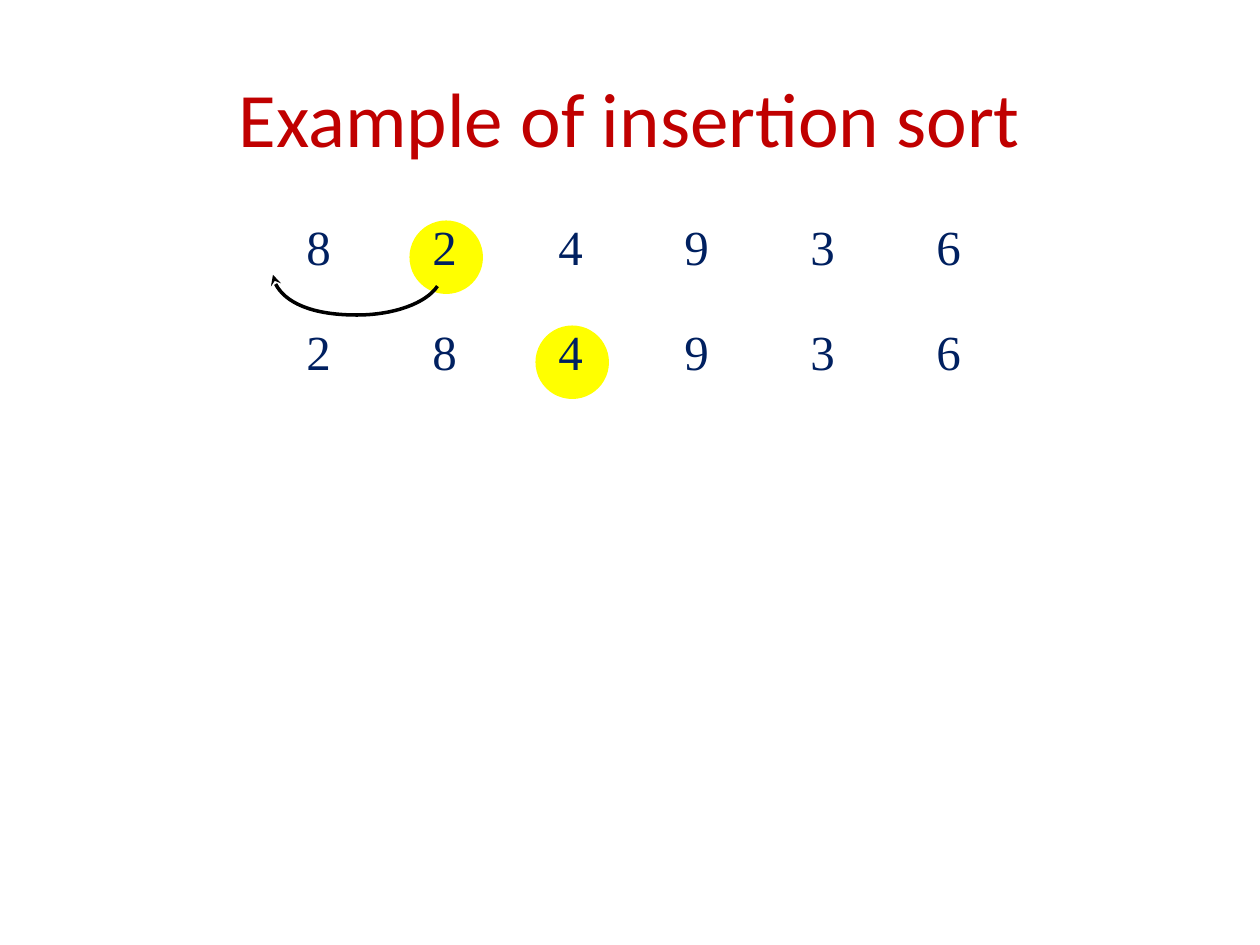
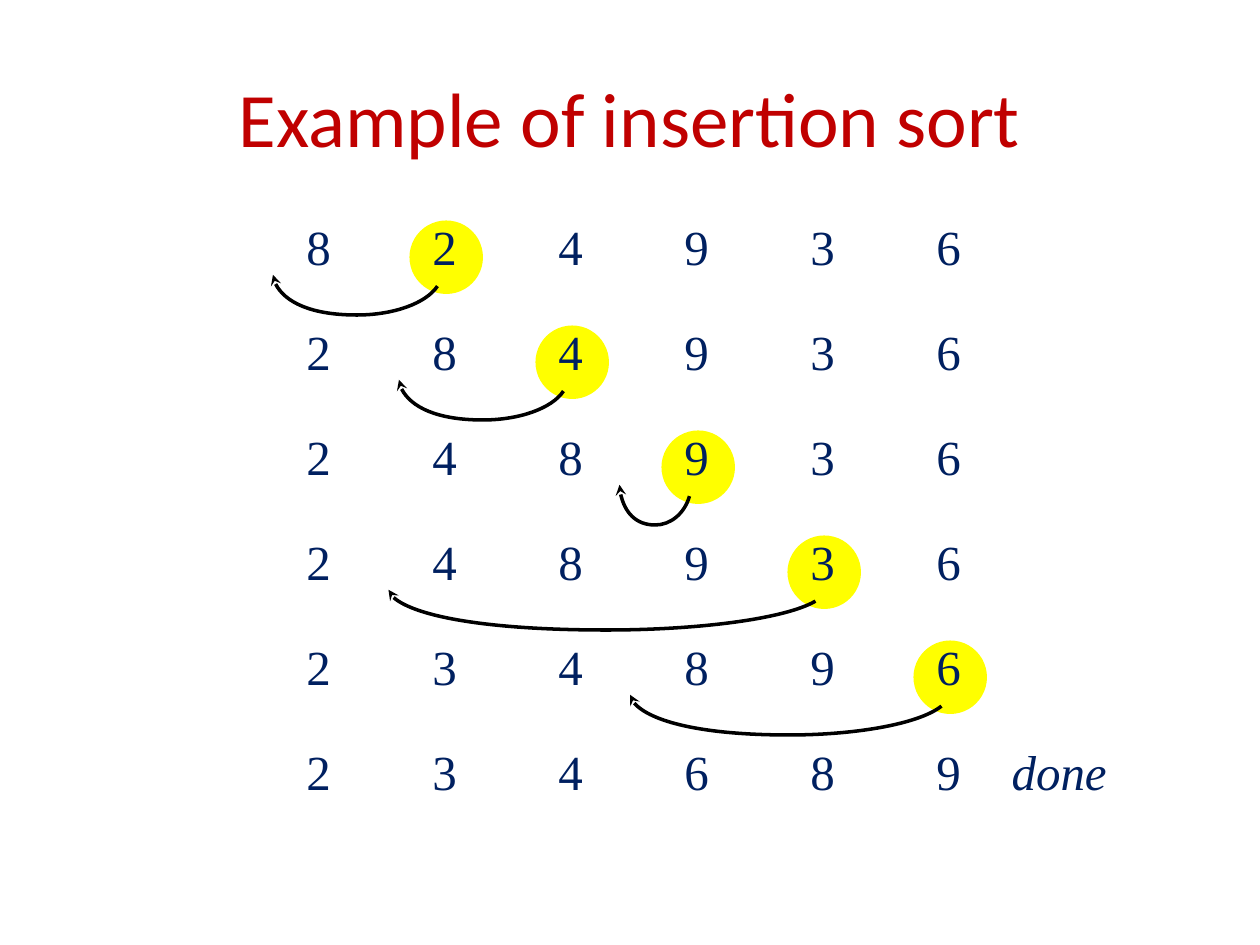
import dataclasses
import lxml.etree
import pptx
import pptx.dml.color
import pptx.enum.shapes
import pptx.enum.text
import pptx.oxml.ns
import pptx.util

Pt = pptx.util.Pt
qn = pptx.oxml.ns.qn


@dataclasses.dataclass(frozen=True)
class Theme:
    red: str = "C00000"
    navy: str = "002060"
    yellow: str = "FFFF00"
    black: str = "000000"
    head: str = "Calibri"
    body: str = "Times New Roman"
    big: int = 44
    mid: int = 28


theme = Theme()


def color(code):
    return pptx.dml.color.RGBColor.from_string(code)


def label(shapes, text, left, top, width, slant=None):
    box = shapes.add_textbox(Pt(left), Pt(top), Pt(width), Pt(41))
    frame = box.text_frame
    frame.word_wrap = False
    frame.auto_size = pptx.enum.text.MSO_AUTO_SIZE.SHAPE_TO_FIT_TEXT
    run = frame.paragraphs[0].add_run()
    run.text = text
    run.font.name, run.font.size = theme.body, Pt(theme.mid)
    run.font.color.rgb = color(theme.navy)
    run.font.italic = slant


# Numbers and grid
nums = [8, 2, 4, 9, 3, 6]
left, top = 168, 120
col_gap, row_gap = 72, 60
tips = [156, 228, 354, 222, 360]  # where each arrow ends

# Arrow curve: share of its width, drop below the row top
curve = [(1, 43.5), (0.93, 53.5), (0.73, 60), (0.51, 60),
         (0.23, 60), (0.01, 50), (0, 37)]

deck = pptx.Presentation()
deck.slide_width, deck.slide_height = Pt(720), Pt(540)

for count in (2, 6):
    slide = deck.slides.add_slide(deck.slide_layouts[5])

    # Title
    title = slide.shapes.title
    title.left, title.top = Pt(36), Pt(21.6)
    title.width, title.height = Pt(648), Pt(90)
    title.text_frame.vertical_anchor = pptx.enum.text.MSO_ANCHOR.MIDDLE
    para = title.text_frame.paragraphs[0]
    para.alignment = pptx.enum.text.PP_ALIGN.CENTER
    run = para.add_run()
    run.text = "Example of insertion sort"
    run.font.name, run.font.size = theme.head, Pt(theme.big)
    run.font.color.rgb = color(theme.red)

    for row in range(count):
        key = row + 1
        y = top + row * row_gap
        shapes = slide.shapes.add_group_shape().shapes

        # Disc behind the number to insert
        if key < len(nums):
            disc = shapes.add_shape(
                pptx.enum.shapes.MSO_SHAPE.OVAL,
                Pt(left + key * col_gap - 6), Pt(y + 6), Pt(42), Pt(42))
            disc.shadow.inherit = False
            disc.fill.solid()
            disc.fill.fore_color.rgb = color(theme.yellow)
            disc.line.fill.background()

        # Numbers, sorted up to the key
        state = sorted(nums[:key]) + nums[key:]
        for col, num in enumerate(state):
            label(shapes, str(num), left + col * col_gap, y, 28.5)

        # Arrow to the new place, unless this is the last row shown
        if row < count - 1:
            tip = tips[row]
            span = left + key * col_gap + 10 - tip
            dots = [(Pt(tip + share * span), Pt(y + drop))
                    for share, drop in curve]
            pen = shapes.build_freeform(*dots[0])
            pen.add_line_segments(dots[1:], close=False)
            arrow = pen.convert_to_shape()
            arrow.shadow.inherit = False
            arrow.fill.background()
            arrow.line.color.rgb = color(theme.black)
            arrow.line.width = Pt(2)
            line = arrow.element.xpath("p:spPr/a:ln")[0]
            lxml.etree.SubElement(line, qn("a:tailEnd"), type="stealth")

            # Each three points become one smooth curve
            legs = arrow.element.xpath(".//a:lnTo")
            for first in range(0, len(legs), 3):
                route = legs[first].getparent()
                bend = lxml.etree.SubElement(route, qn("a:cubicBezTo"))
                for leg in legs[first:first + 3]:
                    bend.append(leg[0])
                    route.remove(leg)

        # Closing word
        if key == len(nums):
            label(shapes, "done", 571, y, 69, slant=True)

deck.save("out.pptx")
